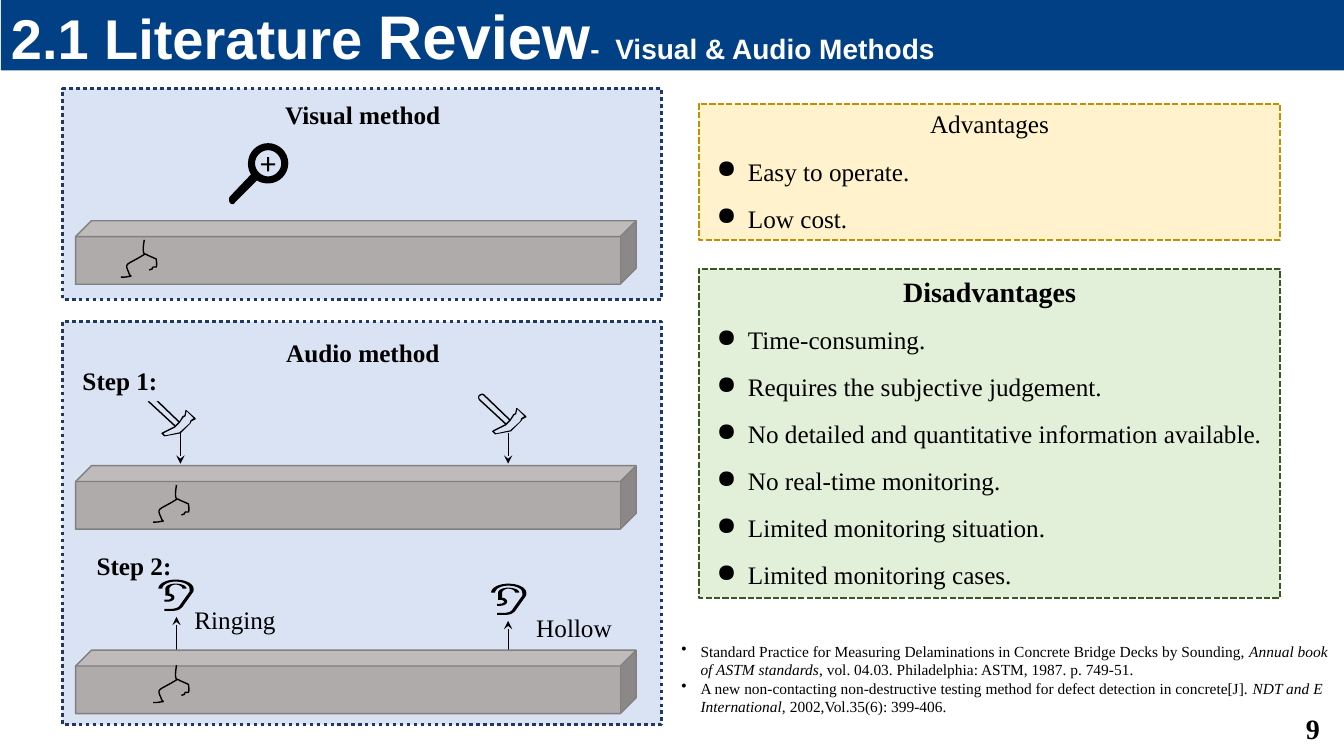
from dataclasses import dataclass

from lxml import etree
from pptx import Presentation
from pptx.dml.color import RGBColor
from pptx.enum.dml import MSO_LINE
from pptx.enum.shapes import MSO_CONNECTOR, MSO_SHAPE
from pptx.enum.text import MSO_ANCHOR, PP_ALIGN
from pptx.oxml.ns import qn
from pptx.util import Pt

PX = 9144  # EMU per px, 100 px to the inch
RECT, CUBE = MSO_SHAPE.RECTANGLE, MSO_SHAPE.CUBE
STRAIGHT = MSO_CONNECTOR.STRAIGHT
DOTS, DASHES = MSO_LINE.ROUND_DOT, MSO_LINE.SQUARE_DOT
LEFT, CENTER, RIGHT = PP_ALIGN.LEFT, PP_ALIGN.CENTER, PP_ALIGN.RIGHT
TOP, MIDDLE = MSO_ANCHOR.TOP, MSO_ANCHOR.MIDDLE
SERIF, BLACK, PALE_BLUE, NAVY = "Times New Roman", "000000", "DAE3F3", "203864"
CURVE_STEPS = 8


@dataclass
class Run:
    text: str
    size: int = 18
    bold: bool = False
    italic: bool = False
    name: str = SERIF
    color: str = BLACK


@dataclass
class Para:
    runs: list[Run]
    align: PP_ALIGN = LEFT
    bullet: str = ""
    indent: int = 0
    before: int = 0


@dataclass
class Box:
    at: tuple[int, int, int, int]
    paras: list[Para]
    fill: str = ""
    line: str = ""
    width: float = 1.5
    dash: MSO_LINE = DASHES
    anchor: MSO_ANCHOR = TOP
    kind: MSO_SHAPE = RECT


@dataclass
class Icon:
    """Contours of points (x, y) and curves (x1, y1, x2, y2, x, y)."""
    contours: list[list[tuple[int, ...]]]
    closed: bool = True


def rgb(color: str) -> RGBColor:
    return RGBColor.from_string(color)


def add_text(tf, paras: list[Para], anchor: MSO_ANCHOR) -> None:
    tf.word_wrap = True
    tf.vertical_anchor = anchor
    for i, para in enumerate(paras):
        p = tf.paragraphs[0] if i == 0 else tf.add_paragraph()
        if para.bullet:
            pPr = p._p.get_or_add_pPr()
            pPr.set("marL", str(para.indent * PX))
            pPr.set("indent", str(-min(para.indent, 31) * PX))
            etree.SubElement(pPr, qn("a:buChar")).set("char", para.bullet)
        p.alignment = para.align
        if para.before:
            p.space_before = Pt(para.before)
        for run in para.runs:
            r = p.add_run()
            r.text = run.text
            formats = {"name": run.name, "size": Pt(run.size),
                       "bold": run.bold, "italic": run.italic}
            for key, value in formats.items():
                setattr(r.font, key, value)
            r.font.color.rgb = rgb(run.color)


def add_box(slide, box: Box) -> None:
    at = [v * PX for v in box.at]
    if box.fill:
        s = slide.shapes.add_shape(box.kind, *at)
        s.shadow.inherit = False
        s.fill.solid()
        s.fill.fore_color.rgb = rgb(box.fill)
        if box.line:
            s.line.color.rgb = rgb(box.line)
            s.line.width = Pt(box.width)
            if box.kind == RECT:
                s.line.dash_style = box.dash
        else:
            s.line.fill.background()
    else:
        s = slide.shapes.add_textbox(*at)
    if box.paras:
        add_text(s.text_frame, box.paras, box.anchor)


def flatten(contour: list[tuple[int, ...]]) -> list[tuple[float, float]]:
    points = [contour[0]]
    for step in contour[1:]:
        if len(step) == 2:
            points.append(step)
            continue
        start, nodes = points[-1], (step[:2], step[2:4], step[4:])
        for k in range(1, CURVE_STEPS + 1):
            t = k / CURVE_STEPS
            weights = ((1 - t) ** 3, 3 * t * (1 - t) ** 2, 3 * t * t * (1 - t), t ** 3)
            points.append(tuple(sum(w * n[axis] for w, n in zip(weights, (start, *nodes)))
                                for axis in (0, 1)))
    return points


def add_icon(slide, icon: Icon, left: int, top: int) -> None:
    paths = [[(round((x + left) * PX), round((y + top) * PX)) for x, y in flatten(c)]
             for c in icon.contours]
    builder = slide.shapes.build_freeform(*paths[0][0])
    for i, points in enumerate(paths):
        if i:
            builder.move_to(*points[0])
        builder.add_line_segments(points[1:], close=icon.closed)
    s = builder.convert_to_shape()
    s.shadow.inherit = False
    if icon.closed:
        s.fill.solid()
        s.fill.fore_color.rgb = rgb(BLACK)
        s.line.fill.background()
    else:
        s.fill.background()
        s.line.color.rgb = rgb(BLACK)
        s.line.width = Pt(1)


def add_arrow(slide, x: int, start: int, end: int) -> None:
    s = slide.shapes.add_connector(STRAIGHT, x * PX, start * PX, x * PX, end * PX)
    s.line.color.rgb = rgb(BLACK)
    s.line.width = Pt(0.5)
    etree.SubElement(s.line._get_or_add_ln(), qn("a:tailEnd")).set("type", "stealth")
    etree.SubElement(s._element.spPr, qn("a:effectLst"))


def label(x: int, y: int, w: int, text: str, fill: str = PALE_BLUE) -> Box:
    return Box((x, y, w, 40), [Para([Run(text, bold=bool(fill))])], fill)


def listing(heading: Run, items: list[str]) -> list[Para]:
    return [Para([heading], CENTER)] + [Para([Run(t)], LEFT, "●", 39, 12) for t in items]


def reference(title: str, journal: str, rest: str) -> Para:
    return Para([Run(title, 11), Run(journal, 11, italic=True), Run(rest, 11)], LEFT, "•", 19)


def heading(text: str, size: int) -> Run:
    return Run(text, size, True, name="Arial", color="FFFFFF")


HAMMER = Icon([
    [(17, 41), (33, 38), (43, 28), (44, 26), (48, 24), (48, 23), (39, 15), (38, 15),
     (37, 20), (35, 21), (32, 26), (6, 1), (4, 0, 2, 1, 1, 2), (0, 3, 0, 5, 1, 7),
     (27, 31), (15, 37), (14, 38)],
    [(2, 6), (1, 5, 1, 3, 2, 3), (3, 2, 4, 2, 5, 2), (31, 27), (28, 30)],
    [(16, 38), (28, 32), (32, 28), (36, 22), (38, 21), (39, 16), (46, 23), (43, 25),
     (42, 28), (32, 37), (18, 40)]])
EAR = Icon([
    [(17, 4), (23, 4, 28, 6, 28, 9), (24, 9), (24, 7, 21, 5, 17, 5), (14, 5, 11, 7, 11, 9),
     (11, 14), (14, 14, 16, 16, 16, 18), (16, 20, 13, 22, 9, 22), (6, 22), (6, 20), (9, 20),
     (11, 20, 13, 19, 13, 18), (13, 17, 11, 16, 9, 16), (7, 16), (7, 9), (7, 6, 12, 4, 17, 4)],
    [(17, 0), (27, 0, 35, 4, 35, 9), (35, 11, 35, 12, 34, 13), (24, 27),
     (23, 28, 22, 29, 20, 30), (18, 31, 15, 31, 13, 31), (6, 31), (6, 29), (13, 29),
     (16, 29, 20, 28, 21, 26), (31, 12), (31, 11, 31, 10, 31, 9), (31, 5, 25, 2, 17, 2),
     (10, 2, 4, 5, 4, 9), (0, 9), (0, 4, 8, 0, 17, 0)]])
MAGNIFIER = Icon([
    [(46, 21), (46, 22), (40, 22), (40, 28), (38, 28), (38, 22), (32, 22), (32, 20),
     (38, 20), (38, 14), (40, 14), (40, 20), (46, 20)],
    [(52, 20), (52, 13, 46, 7, 39, 7), (32, 7, 26, 13, 26, 20), (26, 27, 32, 33, 39, 33),
     (46, 33, 52, 27, 52, 20)],
    [(59, 20), (59, 31, 50, 40, 39, 40), (35, 40, 31, 39, 28, 37), (6, 59),
     (5, 61, 2, 61, 1, 59), (0, 58, 0, 54, 1, 53), (22, 31), (20, 28, 19, 24, 19, 20),
     (19, 9, 28, 0, 39, 0), (50, 0, 59, 9, 59, 20)]])
CRACK = Icon([
    [(23, 0), (23, 3, 21, 10, 23, 14), (23, 14, 25, 14, 26, 15), (35, 19),
     (35, 21, 36, 24, 35, 27), (34, 27, 33, 27, 32, 27), (31, 28, 31, 28, 31, 29),
     (30, 29, 28, 30, 28, 30)],
    [(24, 14), (5, 26, 3, 22, 8, 33), (8, 34, 9, 35, 10, 36), (3, 37, 6, 37, 0, 37)]], False)

BOXES = [
    # Title band
    Box((1, 0, 1333, 70), [Para([heading("2.1 Literature ", 40), heading("Review", 44),
                                 heading("-", 20), heading(" ", 40),
                                 heading("Visual & Audio Methods", 20)])],
        "014085", anchor=MIDDLE),
    # Method labels
    label(273, 94, 177, "Visual method"), label(274, 330, 174, "Audio method"),
    label(72, 358, 97, "Step 1:"), label(86, 541, 97, "Step 2:"),
    label(183, 595, 102, "Ringing", ""), label(522, 603, 102, "Hollow", ""),
    # Pros and cons
    Box((693, 103, 577, 135), listing(Run("Advantages"), ["Easy to operate.", "Low cost."]),
        "FFF2CC", "BF9000"),
    Box((693, 267, 577, 326), listing(Run("Disadvantages", 20, True), [
        "Time-consuming.", "Requires the subjective judgement.",
        "No detailed and quantitative information available.", "No real-time monitoring.",
        "Limited monitoring situation.", "Limited monitoring cases."]), "E2F0D9", "385723"),
    # References and page number
    Box((666, 632, 667, 84), [
        reference("Standard Practice for Measuring Delaminations in Concrete Bridge Decks "
                  "by Sounding, ", "Annual book of ASTM standards",
                  ", vol. 04.03. Philadelphia: ASTM, 1987. p. 749-51."),
        reference("A new non-contacting non-destructive testing method for defect detection "
                  "in concrete[J]. ", "NDT and E International, ", "2002,Vol.35(6): 399-406.")]),
    Box((1019, 703, 300, 40), [Para([Run("9", 20, True)], RIGHT)], anchor=MIDDLE),
]


def main() -> None:
    prs = Presentation()
    prs.slide_width, prs.slide_height = 1333 * PX, 750 * PX
    slide = prs.slides.add_slide(prs.slide_layouts[6])

    # Method panels
    for top, height in ((88, 209), (319, 400)):
        add_box(slide, Box((62, top, 594, height), [], PALE_BLUE, NAVY, 2.5, DOTS))
    # Hammers and arrows, partly covered by the labels
    for left, top in ((146, 392), (474, 390)):
        add_icon(slide, HAMMER, left, top)
    for x, start, end in ((179, 430, 460), (504, 430, 460), (175, 645, 612), (504, 645, 616)):
        add_arrow(slide, x, start, end)
    for box in BOXES:
        add_box(slide, box)
    # Cracked beams
    for top, crack_left, crack_top in ((219, 120, 238), (462, 152, 481), (645, 152, 660)):
        add_box(slide, Box((75, top, 556, 63), [], "AFABAB", "808080", 1, kind=CUBE))
        add_icon(slide, CRACK, crack_left, crack_top)
    # Inspection icons
    add_icon(slide, MAGNIFIER, 227, 142)
    for left, top in ((157, 575), (487, 579)):
        add_icon(slide, EAR, left, top)

    prs.save("out.pptx")


if __name__ == "__main__":
    main()
